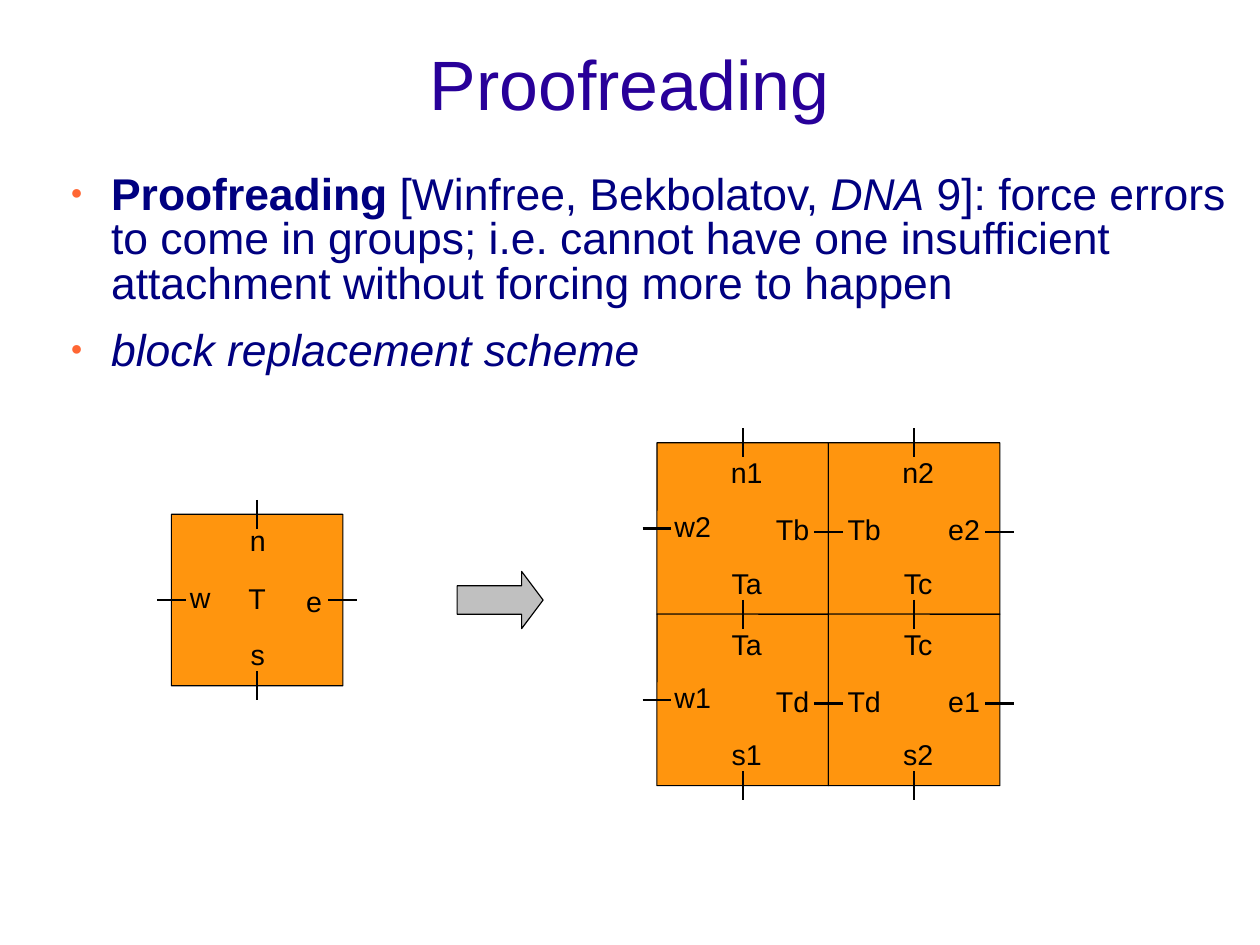
import lxml.etree
import pptx
import pptx.dml.color
import pptx.enum.shapes
import pptx.enum.text
import pptx.oxml.ns
import pptx.util

Cm = pptx.util.Cm
Pt = pptx.util.Pt
SHAPES = pptx.enum.shapes.MSO_SHAPE

TILE = 3.81
MARGIN = 0.32  # half a tick, and the gap between a tile edge and its label
DROP = 0.08  # how far the inner and east ticks of the block sit below centre
LABEL_HEIGHT = 0.71


def colour(value):
    return pptx.dml.color.RGBColor.from_string(value)


def append_element(parent, tag, **attributes):
    element = lxml.etree.SubElement(parent, pptx.oxml.ns.qn(tag))
    for name, value in attributes.items():
        element.set(name, value)
    return element


class TileSlide:
    font_name = "Arial"
    black = "000000"
    orange = "FF950E"
    grey = "C0C0C0"

    def __init__(self, presentation):
        self.slide = presentation.slides.add_slide(presentation.slide_layouts[1])
        self.shapes = self.slide.shapes

    def format_frame(self, frame, top_inset, anchor=pptx.enum.text.MSO_ANCHOR.MIDDLE):
        frame.word_wrap = True
        frame.auto_size = pptx.enum.text.MSO_AUTO_SIZE.NONE
        frame.vertical_anchor = anchor
        frame.margin_left = frame.margin_right = frame.margin_bottom = 0
        frame.margin_top = Cm(top_inset)

    def format_paragraph(self, paragraph, size, text_colour, line_spacing=0.93):
        paragraph.line_spacing = line_spacing
        paragraph.space_before = Pt(0)
        paragraph.font.name = self.font_name
        paragraph.font.size = Pt(size)
        paragraph.font.color.rgb = colour(text_colour)

    def place(self, shape, left, top, width, height):
        shape.left, shape.top = Cm(left), Cm(top)
        shape.width, shape.height = Cm(width), Cm(height)

    def centred_text(self, frame, text, size=18, text_colour=black):
        paragraph = frame.paragraphs[0]
        paragraph.text = text
        paragraph.alignment = pptx.enum.text.PP_ALIGN.CENTER
        self.format_paragraph(paragraph, size, text_colour)

    def title(self, text):
        title = self.shapes.title
        self.place(title, 1.4, 0.13, 25.2, 3.5)
        self.format_frame(title.text_frame, 0.1)
        self.centred_text(title.text_frame, text, 44, "280099")

    def bullets(self, items):
        """Fill the body; each item is a list of (text, bold, italic) runs."""
        body = self.slide.placeholders[1]
        self.place(body, 1.27, 3.81, 26.04, 4.9)
        frame = body.text_frame
        self.format_frame(frame, 0.08, pptx.enum.text.MSO_ANCHOR.TOP)
        for index, runs in enumerate(items):
            paragraph = frame.add_paragraph() if index else frame.paragraphs[0]
            properties = paragraph._p.get_or_add_pPr()
            properties.set("marL", str(Cm(1.2)))
            properties.set("indent", str(Cm(-0.9)))
            bullet_colour = append_element(properties, "a:buClr")
            append_element(bullet_colour, "a:srgbClr", val="FF6633")
            append_element(properties, "a:buSzPct", val="45000")
            append_element(properties, "a:buChar", char="●")
            self.format_paragraph(paragraph, 28, "000080", 0.83)
            paragraph.space_after = Pt(14.3)
            for text, bold, italic in runs:
                run = paragraph.add_run()
                run.text = text
                run.font.bold = bold
                run.font.italic = italic

    def shape(self, kind, left, top, width, height, fill, line_width, adjustments):
        shape = self.shapes.add_shape(kind, Cm(left), Cm(top), Cm(width), Cm(height))
        for index, value in enumerate(adjustments):
            shape.adjustments[index] = value
        shape.shadow.inherit = False
        shape.fill.solid()
        shape.fill.fore_color.rgb = colour(fill)
        shape.line.color.rgb = colour(self.black)
        shape.line.width = Pt(line_width)
        return shape

    def tile(self, left, top):
        return self.shape(SHAPES.ROUNDED_RECTANGLE, left, top, TILE, TILE,
                          self.orange, 0.71, [0.001])

    def arrow(self, left, top, width, height):
        self.shape(SHAPES.RIGHT_ARROW, left, top, width, height,
                   self.grey, 0.75, [0.5, 0.375])

    def tick(self, x, y, horizontal):
        """Draw a short line centred on a tile edge."""
        dx, dy = (MARGIN, 0) if horizontal else (0, MARGIN)
        line = self.shapes.add_connector(pptx.enum.shapes.MSO_CONNECTOR.STRAIGHT,
                                         Cm(x - dx), Cm(y - dy), Cm(x + dx), Cm(y + dy))
        line.line.color.rgb = colour(self.black)
        line.line.width = Pt(1.45)
        append_element(line._element.spPr, "a:effectLst")

    def label(self, text, left, top, width):
        box = self.shapes.add_textbox(Cm(left), Cm(top), Cm(width), Cm(LABEL_HEIGHT))
        self.format_frame(box.text_frame, 0.05)
        self.centred_text(box.text_frame, text)

    def glues(self, left, top, names, side_width, end_width, north_gap):
        """Label the north, west, east and south sides of a tile."""
        north, west, east, south = names
        west_top = 1.51 if west.startswith("w") else 1.59
        self.label(north, left + 1.6, top + north_gap, end_width)
        self.label(west, left + MARGIN, top + west_top, side_width)
        self.label(east, left + TILE - MARGIN - side_width, top + 1.59, side_width)
        self.label(south, left + 1.6, top + 2.77, end_width)


def draw_single_tile(page, left, top):
    page.centred_text(page.tile(left, top).text_frame, "T")
    for edge in (0, TILE):
        page.tick(left + edge, top + TILE / 2, horizontal=True)
        page.tick(left + TILE / 2, top + edge, horizontal=False)
    page.glues(left, top, ("n", "w", "e", "s"), 0.64, 0.64, 0.24)


def draw_block(page, left, top):
    names = [[("n1", "w2", "Tb", "Ta"), ("n2", "Tb", "e2", "Tc")],
             [("Ta", "w1", "Td", "s1"), ("Tc", "Td", "e1", "s2")]]
    cells = [(left + column * TILE, top + row * TILE, names[row][column])
             for row in range(2) for column in range(2)]
    for x, y, _ in cells:
        page.tile(x, y)
    for lane in range(2):
        middle = (lane + 0.5) * TILE
        for edge in range(3):
            drop = DROP if edge else 0
            page.tick(left + edge * TILE, top + middle + drop, horizontal=True)
            page.tick(left + middle, top + edge * TILE, horizontal=False)
    for x, y, sides in cells:
        page.glues(x, y, sides, 0.95, 0.79, MARGIN)


def main():
    presentation = pptx.Presentation()
    presentation.slide_width = Cm(28)
    presentation.slide_height = Cm(21)
    page = TileSlide(presentation)
    page.title("Proofreading")
    page.bullets([
        [("Proofreading", True, False),
         (" [Winfree, Bekbolatov, ", False, False),
         ("DNA", False, True),
         (" 9]: force errors to come in groups; i.e. cannot have one insufficient "
          "attachment without forcing more to happen", False, False)],
        [("block replacement scheme", False, True)],
    ])
    draw_single_tile(page, 3.81, 11.43)
    page.arrow(10.16, 12.7, 1.91, 1.27)
    draw_block(page, 14.6, 9.84)
    presentation.save("out.pptx")


if __name__ == "__main__":
    main()
